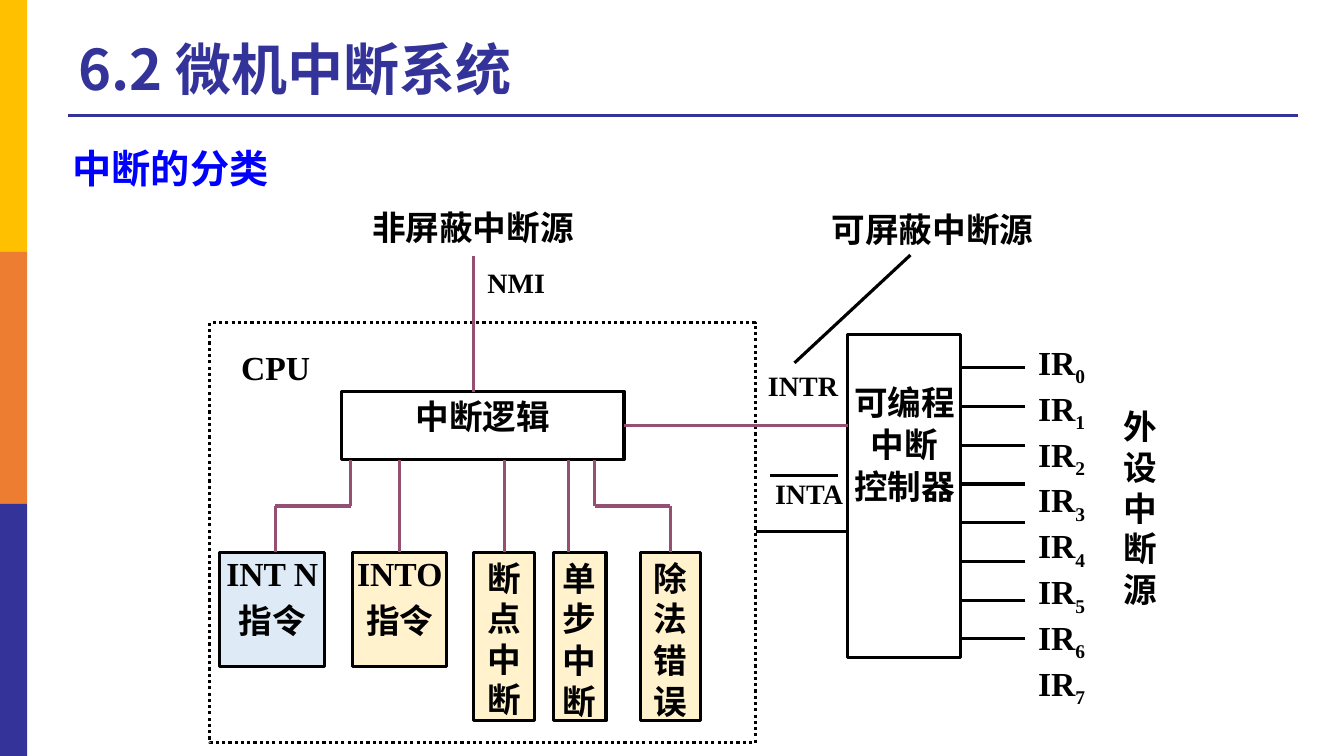
from lxml.etree import SubElement
from pptx import Presentation
from pptx.dml.color import RGBColor
from pptx.enum.dml import MSO_LINE
from pptx.enum.shapes import MSO_CONNECTOR, MSO_SHAPE
from pptx.enum.text import MSO_ANCHOR, PP_ALIGN
from pptx.oxml.ns import qn
from pptx.util import Inches, Pt

# Content: places are columns and rows of a grid with 0.1 inch cells
CELL = 0.1
COLS, ROWS = 133.3, 75
COLORS = {"navy": "333399", "blue": "0000FF", "black": "000000", "plum": "954F72",
          "gold": "FFC000", "orange": "ED7D31", "cream": "FFF2CC", "sky": "DEEBF7"}
SERIF, SANS = "Times New Roman", "Noto Sans CJK SC"

HEADING = "6.2 微机中断系统"
SUBTITLE = "中断的分类"
BARS = ["gold", "orange", "navy"]
CPU_BOX = (20.8, 32, 54.1, 41.7)
LOGIC = ("中断逻辑", (33.9, 38.8, 28, 6.8))
CONTROLLER = ("可编程\n中断\n控制器", (84.1, 33.2, 11.2, 32))
LABELS = [  # text, box, size
    ("非屏蔽中断源", (35.7, 20, 22.4, 6.8), 24),
    ("可屏蔽中断源", (81.3, 20.2, 22.4, 6.8), 24),
    ("CPU", (22.7, 34.3, 9.3, 6.8), 24),
    ("NMI", (46.5, 26.2, 9.4, 6.8), 20),
    ("INTR", (75, 36.5, 9.3, 6.8), 20),
    ("INTA", (75.6, 47.2, 9.3, 4.7), 20),
    ("外\n设\n中\n断\n源", (110.1, 39.8, 6, 25.3), 24),
]
# text, left, width, height, fill, column on the logic box, column on the source
# (None: straight below / middle of the source)
SOURCE_TOP, BEND = 54.8, 50.2
SOURCES = [
    ("INT N\n指令", 21.8, 10.4, 11.3, "sky", 34.8, 27.3),
    ("INTO\n指令", 35, 9.3, 11.3, "cream", None, None),
    ("断点中断", 47, 6, 16.7, "cream", None, None),
    ("单步\n中断", 54.9, 5.2, 16.7, "cream", None, 56.4),
    ("除法\n错误", 63.5, 6, 16.7, "cream", 59, None),
]
WIRES = [  # from, to, colour
    ((47, 25.4), (47, 38.9), "plum"),
    ((84.1, 52.7), (75, 52.7), "black"),
    ((90.3, 25.3), (78.8, 36), "black"),
    ((83.1, 47.2), (76.4, 47.2), "black"),
    ((6.7, 11.5), (128.7, 11.5), "navy"),
]
PORTS, PORT_TOP, PORT_STEP = 8, 36.5, 3.84
PORT_BOX = (100.6, 33.8, 9.4, 31.5)

prs = Presentation()
prs.slide_width, prs.slide_height = Inches(COLS * CELL), Inches(ROWS * CELL)
slide = prs.slides.add_slide(prs.slide_layouts[5])


def grid(*cells):
    return [Inches(c * CELL) for c in cells]


def rgb(name):
    return RGBColor.from_string(COLORS[name])


def style(r, size, color="black", font=SERIF):
    r.font.size, r.font.bold, r.font.name = Pt(size), True, font
    r.font.color.rgb = rgb(color)
    SubElement(r._r.get_or_add_rPr(), qn("a:ea")).set("typeface", SANS)


def write(sp, text, size=24, before=0, top=0.1):
    tf = sp.text_frame
    tf.word_wrap, tf.vertical_anchor = True, MSO_ANCHOR.TOP
    tf.margin_left = tf.margin_right = tf.margin_bottom = Inches(0.01)
    # Chinese lines have a fixed height, so a box that starts with one sits lower
    tf.margin_top = Inches((top if text[0].isascii() else top + 0.4) * CELL)
    tf.text = text
    for i, p in enumerate(tf.paragraphs):
        p.alignment = PP_ALIGN.CENTER
        p.space_before = Pt(before if i else 0)
        if not p.text.isascii():
            p.line_spacing = Pt(29)
        for r in p.runs:
            style(r, size)


def rect(box, fill=None, line="black"):
    sp = slide.shapes.add_shape(MSO_SHAPE.RECTANGLE, *grid(*box))
    sp.shadow.inherit = False
    if fill:
        sp.fill.solid()
        sp.fill.fore_color.rgb = rgb(fill)
    else:
        sp.fill.background()
    if line:
        sp.line.color.rgb, sp.line.width = rgb(line), Pt(2.25)
    else:
        sp.line.fill.background()
    return sp


def wire(start, end, color):
    ln = slide.shapes.add_connector(MSO_CONNECTOR.STRAIGHT, *grid(*start, *end))
    ln.line.color.rgb, ln.line.width = rgb(color), Pt(2.25)
    SubElement(ln._element.spPr, qn("a:effectLst"))
    return ln


# Side bars
for i, color in enumerate(BARS):
    rect((0, i * ROWS / 3, 2.7, ROWS / 3), color, None)

# Heading and title
heading = slide.shapes.add_textbox(*grid(6.8, 2.8, 99.1, 8.7))
title = slide.shapes.title
title.left, title.top, title.width, title.height = grid(6.2, 12.6, 99.1, 8.7)
for sp, text, size, color, font in (
        (heading, HEADING, 40, "navy", SANS), (title, SUBTITLE, 28, "blue", SERIF)):
    tf = sp.text_frame
    tf.word_wrap, tf.vertical_anchor = True, MSO_ANCHOR.MIDDLE
    tf.text = text
    p = tf.paragraphs[0]
    p.alignment, p.line_spacing = PP_ALIGN.LEFT, 0.9
    style(p.runs[0], size, color, font)

# CPU frame, interrupt logic and controller
rect(CPU_BOX).line.dash_style = MSO_LINE.ROUND_DOT
logic = rect(LOGIC[1])
write(logic, LOGIC[0])
controller = rect(CONTROLLER[1])
write(controller, CONTROLLER[0], before=1, top=4.3)

# Internal sources and their wires
logic_left, logic_top, logic_w, logic_h = LOGIC[1]
logic_bottom = logic_top + logic_h
for text, left, width, height, fill, x_logic, x_source in SOURCES:
    source = rect((left, SOURCE_TOP, width, height), fill)
    write(source, text, before=4 if text[0].isascii() else 1)
    x = x_source or left + width / 2
    points = [(x, SOURCE_TOP), (x, logic_bottom)]
    if x_logic:
        points[1:] = [(x, BEND), (x_logic, BEND), (x_logic, logic_bottom)]
    wires = [wire(a, b, "plum") for a, b in zip(points, points[1:])]
    if x_source is None:
        wires[0].begin_connect(source, 0)

# Remaining wires
logic_middle = logic_top + logic_h / 2
intr = wire((logic_left + logic_w, logic_middle), (CONTROLLER[1][0], logic_middle), "plum")
intr.begin_connect(logic, 3)
for start, end, color in WIRES:
    wire(start, end, color)

# Controller ports
for i in range(PORTS):
    y = PORT_TOP + i * PORT_STEP
    wire((101.7, y), (95.2, y), "black")
ports = slide.shapes.add_textbox(*grid(*PORT_BOX))
write(ports, "\n".join(["IR"] * PORTS))
for i, p in enumerate(ports.text_frame.paragraphs):
    r = p.add_run()
    r.text = str(i)
    style(r, 24)
    r._r.get_or_add_rPr().set("baseline", "-25000")

# Labels
for text, box, size in LABELS:
    write(slide.shapes.add_textbox(*grid(*box)), text, size)

prs.save("out.pptx")
